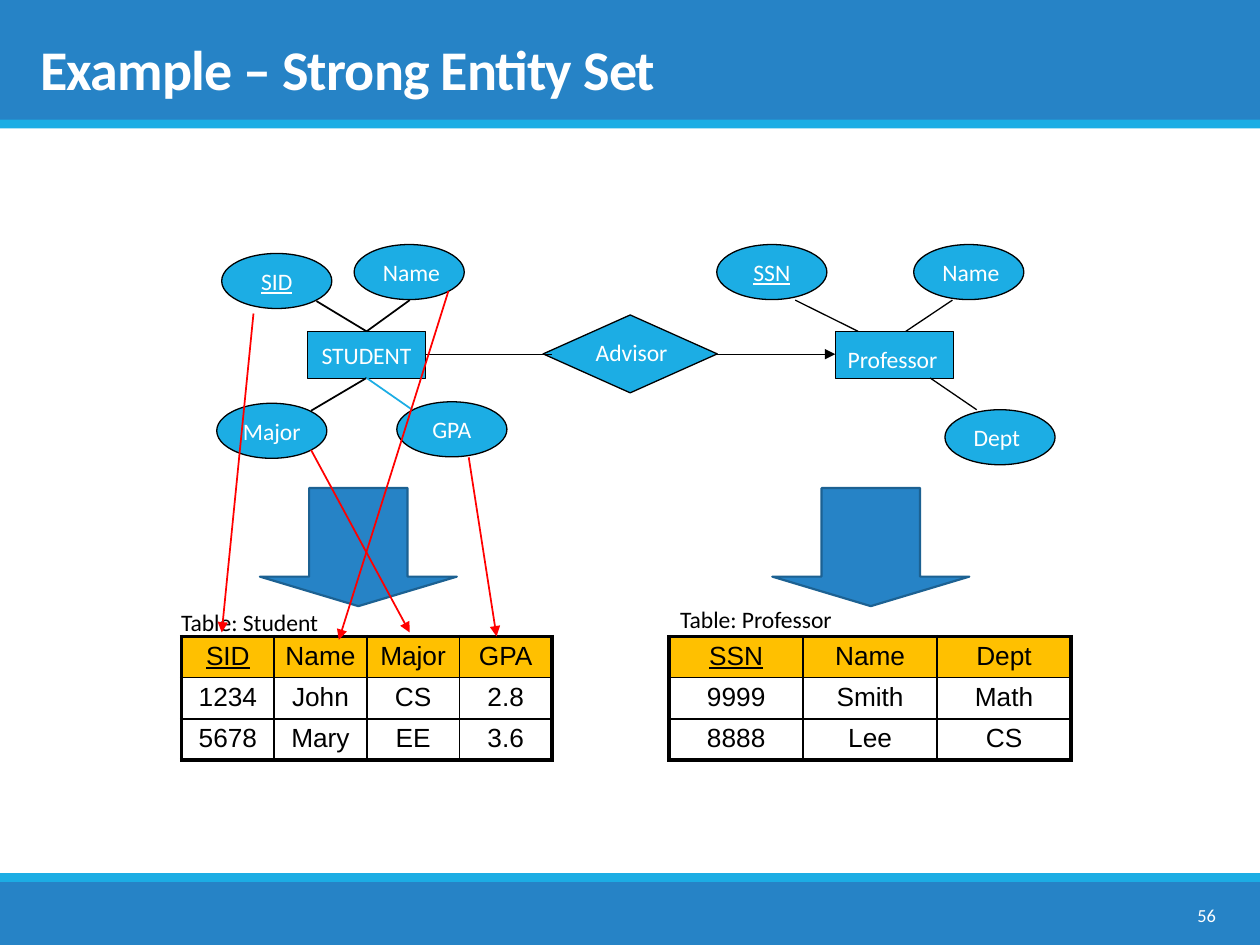
from dataclasses import dataclass

from lxml.etree import SubElement
from pptx import Presentation
from pptx.dml.color import RGBColor
from pptx.enum.shapes import MSO_CONNECTOR, MSO_SHAPE
from pptx.enum.text import MSO_ANCHOR, MSO_AUTO_SIZE, PP_ALIGN
from pptx.oxml.ns import qn
from pptx.util import Cm, Pt


@dataclass(frozen=True)
class Theme:
    blue: str = "2683C6"
    sky: str = "1CADE4"
    edge: str = "1C6192"
    gold: str = "FFC000"
    red: str = "FF0000"
    black: str = "000000"
    white: str = "FFFFFF"
    face: str = "Calibri"
    grid: str = "Arial"
    head: float = 32
    label: float = 13.5
    cell: float = 15
    page: float = 10.5


look = Theme()
OVAL = (2.22, 1.11)
RECT = (2.38, 0.95)
TALL = 0.84


def apply(item, vals):
    for key, val in vals.items():
        setattr(item, key, val)


def write(frame, text, size, tint, align=PP_ALIGN.LEFT, face=look.face, **font):
    par = frame.paragraphs[0]
    par.alignment = align
    run = par.add_run()
    run.text = text
    apply(run.font, {"name": face, "size": Pt(size), **font})
    run.font.color.rgb = RGBColor.from_string(tint)
    return par, run


def draw(slide, kind, box, fill, line=None, width=0.75):
    shape = slide.shapes.add_shape(kind, *map(Cm, box))
    shape.shadow.inherit = False
    shape.fill.solid()
    shape.fill.fore_color.rgb = RGBColor.from_string(fill)
    if line:
        shape.line.color.rgb = RGBColor.from_string(line)
        shape.line.width = Pt(width)
    else:
        shape.line.fill.background()
    return shape


def note(slide, box, text, tint, wrap=True, size=look.label, **font):
    frame = slide.shapes.add_textbox(*map(Cm, box)).text_frame
    frame.word_wrap = wrap
    write(frame, text, size, tint, **font)
    return frame


def join(slide, base, ends, tint=look.black, width=1, arrow=False):
    x, y = base
    ax, ay, bx, by = ends
    line = slide.shapes.add_connector(
        MSO_CONNECTOR.STRAIGHT, Cm(x + ax), Cm(y + ay), Cm(x + bx), Cm(y + by))
    line.line.color.rgb = RGBColor.from_string(tint)
    line.line.width = Pt(width)
    if arrow:
        SubElement(line.line._get_or_add_ln(), qn("a:tailEnd"), type="triangle")
    SubElement(line.element.spPr, qn("a:effectLst"))


def node(slide, base, kind, spot, size, text, cap=None, **font):
    x, y = base
    shape = draw(slide, kind, (x + spot[0], y + spot[1], *size), look.sky, look.black)
    if cap:
        left, top, wide = cap
        note(slide, (x + left, y + top, wide, TALL), text, look.white, **font)
    else:
        frame = shape.text_frame
        apply(frame, {"word_wrap": False, "vertical_anchor": MSO_ANCHOR.MIDDLE})
        write(frame, text, look.label, look.white, PP_ALIGN.CENTER, **font)


def bands(slide, wide, high):
    for top, tall, tint in ((0, 2.44, look.blue), (high - 1.27, 1.27, look.blue),
                            (high - 1.45, 0.18, look.sky), (2.41, 0.18, look.sky)):
        draw(slide, MSO_SHAPE.RECTANGLE, (0, top, wide, tall), tint)


def heading(slide, box, text):
    title = slide.shapes.title
    slide.shapes.element.append(title.element)
    apply(title, dict(zip(("left", "top", "width", "height"), map(Cm, box))))
    frame = title.text_frame
    apply(frame, {"vertical_anchor": MSO_ANCHOR.BOTTOM, "word_wrap": True,
                  "auto_size": MSO_AUTO_SIZE.NONE})
    par, run = write(frame, text, look.head, look.white, bold=True)
    par.line_spacing = 0.85
    run.font._element.set("spc", "-50")


def border(cell, sides):
    props = cell._tc.get_or_add_tcPr()
    for spot, (side, width) in enumerate(sides.items()):
        line = SubElement(props, qn(f"a:ln{side}"), w=str(Pt(width)))
        fill = SubElement(line, qn("a:solidFill"))
        SubElement(fill, qn("a:srgbClr"), val=look.black)
        props.insert(spot, line)


def grid(slide, box, rows):
    deep, wide = len(rows), len(rows[0])
    table = slide.shapes.add_table(deep, wide, *map(Cm, box)).table
    apply(table, {"first_row": False, "horz_banding": False})
    for r, row in enumerate(rows):
        for c, text in enumerate(row):
            cell = table.cell(r, c)
            apply(cell, {"margin_left": Cm(0.18), "margin_right": Cm(0.18),
                         "margin_top": Cm(0.1), "margin_bottom": Cm(0.1)})
            if r == deep - 1:
                cell.fill.background()
            else:
                cell.fill.solid()
                tint = look.white if r else look.gold
                cell.fill.fore_color.rgb = RGBColor.from_string(tint)
            write(cell.text_frame, text, look.cell, look.black, PP_ALIGN.CENTER,
                  look.grid, underline=r == c == 0)
            rims = {"L": c == 0, "R": c == wide - 1, "T": r == 0, "B": r == deep - 1}
            border(cell, {side: 2.25 if rim else 1 for side, rim in rims.items()})


def student(slide, base):
    node(slide, base, MSO_SHAPE.RECTANGLE, (1.83, 1.75), RECT, "STUDENT")
    for text, spot, cap in (("Name", (2.77, 0), (3.1, 0.15, 1.75)),
                            ("SID", (0.1, 0.18), None),
                            ("Major", (0, 3.2), None),
                            ("GPA", (3.63, 3.17), None)):
        node(slide, base, MSO_SHAPE.OVAL, spot, OVAL, text, cap, underline=text == "SID")
    for ends in ((3.02, 1.75, 2.01, 1.14), (3.02, 2.69, 1.9, 3.35),
                 (3.02, 1.75, 3.89, 1.12)):
        join(slide, base, ends)
    join(slide, base, (3.94, 3.33, 3.02, 2.69), look.sky)


def advisor(slide, base):
    node(slide, base, MSO_SHAPE.FLOWCHART_DECISION, (2.36, 0), (3.51, 1.57),
         "Advisor", (3.17, 0.33, 2.06))
    join(slide, base, (0, 0.79, 2.54, 0.79), width=0.75)
    join(slide, base, (5.87, 0.79, 8.25, 0.79), width=0.75, arrow=True)


def teacher(slide, base):
    node(slide, base, MSO_SHAPE.RECTANGLE, (2.39, 1.75), RECT, "Professor",
         (2.39, 1.9, 2.54))
    for text, spot, cap in (("SSN", (0, 0), (0.49, 0.15, 1.57)),
                            ("Name", (3.97, 0), (4.3, 0.15, 1.75)),
                            ("Dept", (4.6, 3.33), (4.93, 3.48, 1.57))):
        node(slide, base, MSO_SHAPE.OVAL, spot, OVAL, text, cap, underline=text == "SSN")
    for ends in ((1.58, 1.12, 2.85, 1.75), (4.75, 1.12, 3.81, 1.75),
                 (5.24, 3.33, 4.3, 2.69)):
        join(slide, base, ends, width=0.75)


def links(slide, base):
    for ends in ((0.74, 1.39, 0.1, 7.82), (4.67, 0.94, 2.46, 7.97),
                 (1.9, 4.14, 3.89, 7.82), (5.08, 4.29, 5.64, 7.9)):
        join(slide, base, ends, look.red, arrow=True)


def main():
    deck = Presentation()
    apply(deck, {"slide_width": Cm(25.4), "slide_height": Cm(19.05)})
    slide = deck.slides.add_slide(deck.slide_layouts[5])
    bands(slide, 25.4, 19.05)
    heading(slide, (0.56, 0.25, 24.18, 1.93), "Example – Strong Entity Set")
    grid(slide, (3.66, 12.83, 7.47, 2.49), (
        ("SID", "Name", "Major", "GPA"),
        ("1234", "John", "CS", "2.8"),
        ("5678", "Mary", "EE", "3.6")))
    grid(slide, (13.49, 12.83, 8.1, 2.49), (
        ("SSN", "Name", "Dept"),
        ("9999", "Smith", "Math"),
        ("8888", "Lee", "CS")))
    for left in (5.24, 15.57):
        arrow = draw(slide, MSO_SHAPE.DOWN_ARROW, (left, 9.84, 3.97, 2.38),
                     look.blue, look.edge, 1.25)
        arrow.adjustments[1] = 0.25
    base = (4.37, 4.93)
    student(slide, base)
    advisor(slide, (8.59, 6.35))
    teacher(slide, (14.45, 4.93))
    note(slide, (3.4, 12.14, 3.33, TALL), "Table: Student", look.black, False)
    note(slide, (13.46, 12.06, 3.63, TALL), "Table: Professor", look.black, False)
    links(slide, base)
    page = note(slide, (22.02, 17.93, 2.74, 1.02), "56", look.white,
                size=look.page, align=PP_ALIGN.RIGHT)
    page.vertical_anchor = MSO_ANCHOR.MIDDLE
    deck.save("out.pptx")


if __name__ == "__main__":
    main()
